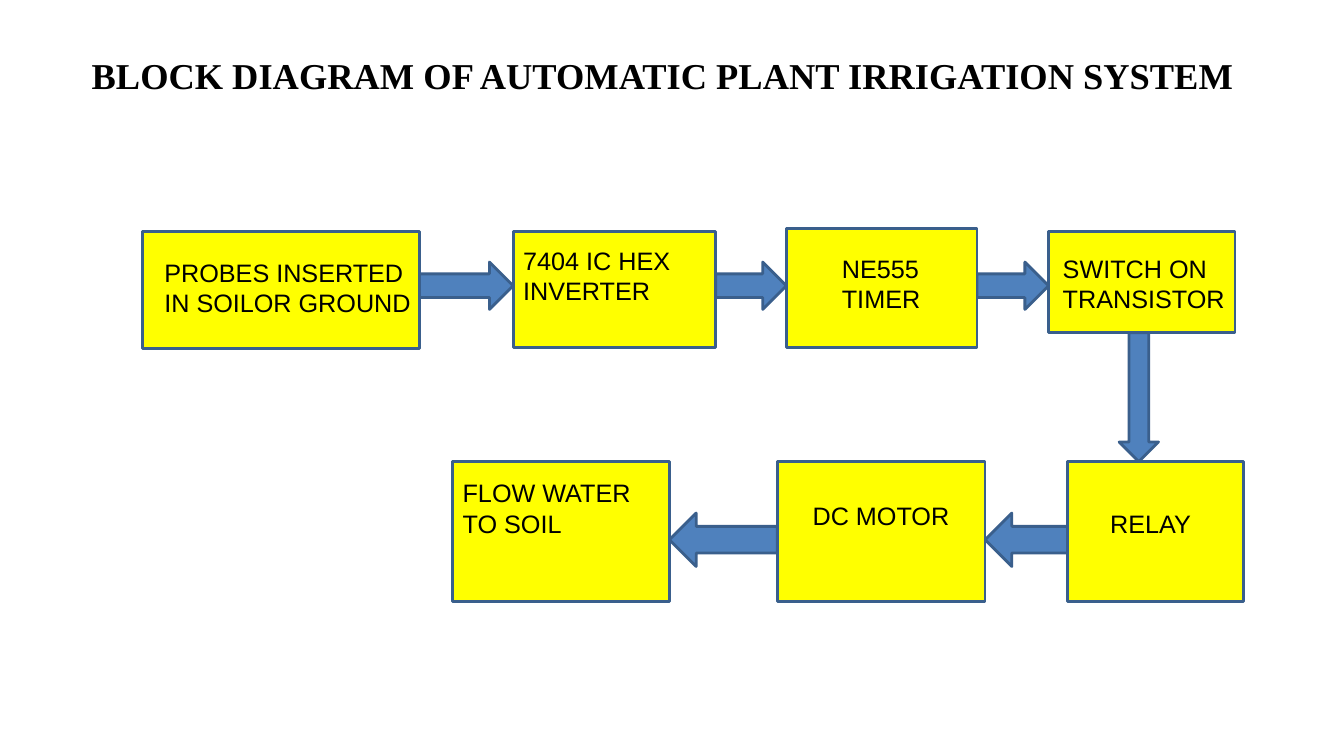
from collections import namedtuple
from dataclasses import dataclass

from pptx import Presentation
from pptx.dml.color import RGBColor
from pptx.enum import shapes, text
from pptx.util import Inches, Pt


@dataclass(frozen=True)
class Theme:
    block: RGBColor = RGBColor(0xFF, 0xFF, 0x00)
    arrow: RGBColor = RGBColor(0x4F, 0x81, 0xBD)
    outline: RGBColor = RGBColor(0x3A, 0x5F, 0x8C)
    ink: RGBColor = RGBColor(0, 0, 0)
    title_font: str = "Times New Roman"
    label_font: str = "Arial"
    title_size: int = 26
    label_size: int = 18
    outline_width: int = 2


THEME = Theme()
Box = namedtuple("Box", "left top width height")
# left and top are offsets in the row; indent and drop place the label in the block
Stage = namedtuple("Stage", "label left top width height indent drop")

SENSING = [
    Stage("PROBES INSERTED\nIN SOILOR GROUND", 0, 0.03, 2.75, 1.16, 0.22, 0.25),
    Stage("7404 IC HEX\nINVERTER", 3.68, 0.03, 2.01, 1.15, 0.1, 0.13),
    Stage("NE555\nTIMER", 6.39, 0, 1.89, 1.18, 0.55, 0.24),
    Stage("SWITCH ON\nTRANSISTOR", 8.99, 0.03, 1.85, 1, 0.14, 0.21),
]
WATERING = [
    Stage("FLOW WATER\nTO SOIL", 0, 0, 2.15, 1.39, 0.1, 0.16),
    Stage("DC MOTOR", 3.22, 0, 2.06, 1.39, 0.35, 0.38),
    Stage("RELAY", 6.1, 0, 1.74, 1.39, 0.42, 0.46),
]


def write(frame, content, *, font, size, bold=False, indent=0.1, drop=0.05, right=0):
    frame.word_wrap = True
    frame.auto_size = text.MSO_AUTO_SIZE.NONE
    frame.vertical_anchor = text.MSO_ANCHOR.TOP
    frame.margin_left, frame.margin_top = Inches(indent), Inches(drop)
    frame.margin_right, frame.margin_bottom = Inches(right), Inches(0)
    frame.text = content
    for paragraph in frame.paragraphs:
        paragraph.alignment = text.PP_ALIGN.LEFT
        paragraph.line_spacing = 1.0
        paragraph.space_before = Pt(0)
        paragraph.font.name = font
        paragraph.font.size = Pt(size)
        paragraph.font.bold = bold
        paragraph.font.color.rgb = THEME.ink


def add_outlined(slide, kind, box, fill):
    shape = slide.shapes.add_shape(kind, *map(Inches, box))
    shape.shadow.inherit = False
    shape.fill.solid()
    shape.fill.fore_color.rgb = fill
    shape.line.color.rgb = THEME.outline
    shape.line.width = Pt(THEME.outline_width)
    return shape


def add_title(slide, box):
    title = slide.shapes.title
    title.left, title.top, title.width, title.height = map(Inches, box)
    write(title.text_frame, "BLOCK DIAGRAM OF AUTOMATIC PLANT IRRIGATION SYSTEM",
          font=THEME.title_font, size=THEME.title_size, bold=True)


def add_row(slide, box, stages, arrow_kind, arrow_height):
    """Draw the stages from left to right, with an arrow filling each gap."""
    blocks = [Box(box.left + s.left, box.top + s.top, s.width, s.height) for s in stages]

    # Arrows
    arrow_top = box.top + (box.height - arrow_height) / 2
    for before, after in zip(blocks, blocks[1:]):
        start = before.left + before.width
        add_outlined(slide, arrow_kind,
                     Box(start, arrow_top, after.left - start, arrow_height), THEME.arrow)

    # Blocks with their labels
    for stage, block in zip(stages, blocks):
        shape = add_outlined(slide, shapes.MSO_SHAPE.RECTANGLE, block, THEME.block)
        write(shape.text_frame, stage.label, font=THEME.label_font,
              size=THEME.label_size, indent=stage.indent, drop=stage.drop)


def main():
    prs = Presentation()
    prs.slide_width, prs.slide_height = Inches(13.33), Inches(7.5)
    slide = prs.slides.add_slide(prs.slide_layouts[5])
    arrows = shapes.MSO_SHAPE

    add_title(slide, Box(0.81, 0.48, 12.5, 0.54))
    add_row(slide, Box(1.41, 2.27, 10.84, 1.13), SENSING, arrows.RIGHT_ARROW, 0.47)
    add_row(slide, Box(4.49, 4.58, 7.84, 1.55), WATERING, arrows.LEFT_ARROW, 0.53)

    # Arrow from the transistor down to the relay
    add_outlined(slide, arrows.DOWN_ARROW, Box(11.1, 3.3, 0.39, 1.28), THEME.arrow)

    prs.save("out.pptx")


if __name__ == "__main__":
    main()
